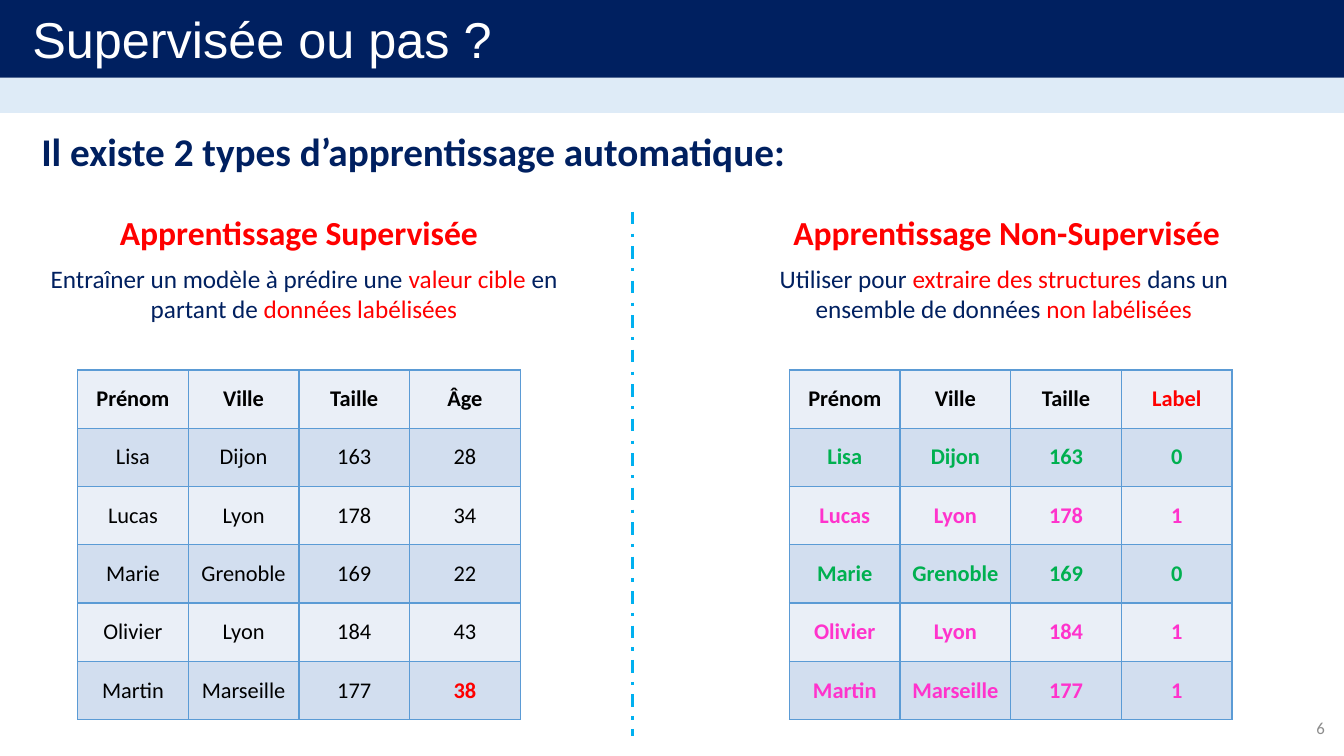
from dataclasses import dataclass

from lxml.etree import SubElement
from pptx import Presentation
from pptx.dml.color import RGBColor
from pptx.enum.dml import MSO_LINE_DASH_STYLE as Dash
from pptx.enum.shapes import MSO_CONNECTOR, MSO_SHAPE
from pptx.enum.text import MSO_ANCHOR as Anchor, MSO_AUTO_SIZE as AutoSize, PP_ALIGN as Align
from pptx.oxml import parse_xml
from pptx.oxml.ns import nsdecls, qn
from pptx.util import Inches, Pt


@dataclass(frozen=True)
class Theme:
    """Colours, fonts and type sizes of the deck."""
    navy: str = "002060"
    pale: str = "DEEBF7"
    white: str = "FFFFFF"
    black: str = "000000"
    grey: str = "8C8C8C"
    red: str = "FF0000"
    green: str = "00B050"
    pink: str = "FF33CC"
    divider: str = "00B0F0"
    border: str = "5B9BD5"
    row_fills: tuple = ("EAEFF7", "D2DEEF")
    title_font: str = "Arial"
    body_font: str = "Calibri"
    title: int = 36
    lead: int = 28
    heading: int = 24
    text: int = 18
    cell: int = 16
    number: int = 12


THEME = Theme()
WIDTH, HEIGHT = 13.33, 7.5
PEOPLE = [("Lisa", "Dijon", "163"), ("Lucas", "Lyon", "178"), ("Marie", "Grenoble", "169"),
          ("Olivier", "Lyon", "184"), ("Martin", "Marseille", "177")]
COLUMNS = ("Prénom", "Ville", "Taille")
AGES = ("28", "34", "22", "43", "38")
LABELS = ("0", "1", "0", "1", "1")


def style(span, size, color, bold=False, font=THEME.body_font):
    """Format one run."""
    span.font.size, span.font.bold, span.font.name = Pt(size), bold, font
    span.font.color.rgb = RGBColor.from_string(color)


def place(shape, left, top, width, height):
    """Move a shape to a box given in inches."""
    shape.left, shape.top = Inches(left), Inches(top)
    shape.width, shape.height = Inches(width), Inches(height)


def fill_text(shape, pieces, size, bold=False, font=THEME.body_font,
              align=Align.LEFT, anchor=Anchor.TOP):
    """Write (text, colour) pieces as one paragraph of a shape."""
    frame = shape.text_frame
    frame.word_wrap, frame.auto_size = True, AutoSize.NONE
    frame.vertical_anchor = anchor
    para = frame.paragraphs[0]
    para.alignment, para.space_before = align, Pt(0)
    for text, color in pieces:
        span = para.add_run()
        span.text = text
        style(span, size, color, bold, font)


def add_text(page, box, pieces, size, **options):
    """Add a text box holding one paragraph."""
    shape = page.shapes.add_textbox(*map(Inches, box))
    fill_text(shape, pieces, size, **options)


def add_band(page, box, color):
    """Add a plain filled band."""
    band = page.shapes.add_shape(MSO_SHAPE.RECTANGLE, *map(Inches, box))
    band.shadow.inherit = False
    band.fill.solid()
    band.fill.fore_color.rgb = RGBColor.from_string(color)
    band.line.fill.background()


def add_header(page, height):
    """Draw the two bands and put the title in front of them."""
    add_band(page, (0, height, WIDTH, 0.35), THEME.pale)
    add_band(page, (0, 0, WIDTH, height), THEME.navy)
    title = page.shapes.title
    place(title, 0.22, 0.03, WIDTH - 0.22, height - 0.06)
    fill_text(title, [("Supervisée ou pas ?", THEME.white)], THEME.title,
              font=THEME.title_font, anchor=Anchor.MIDDLE)
    page.shapes._spTree.append(title._element)


def add_lead(page, box):
    """Put the opening sentence in the body placeholder, without a bullet."""
    body = page.placeholders[1]
    place(body, *box)
    frame = body.text_frame
    frame.margin_left = frame.margin_right = frame.margin_top = frame.margin_bottom = 0
    fill_text(body, [("Il existe 2 types d’apprentissage automatique:", THEME.navy)],
              THEME.lead, bold=True)
    properties = frame.paragraphs[0]._p.get_or_add_pPr()
    properties.set("marL", "0")
    properties.set("indent", "0")
    SubElement(properties, qn("a:buNone"))


def add_divider(page, left, top, bottom):
    """Draw the dash-dot line between the two halves."""
    line = page.shapes.add_connector(MSO_CONNECTOR.STRAIGHT, Inches(left), Inches(top),
                                     Inches(left), Inches(bottom))
    line.line.color.rgb = RGBColor.from_string(THEME.divider)
    line.line.width, line.line.dash_style = Pt(2.25), Dash.DASH_DOT
    SubElement(line._element.spPr, qn("a:effectLst"))


def add_borders(cell):
    """Give a cell a thin line on its four sides."""
    properties = cell._tc.get_or_add_tcPr()
    for position, side in enumerate(("lnL", "lnR", "lnT", "lnB")):
        properties.insert(position, parse_xml(
            f'<a:{side} {nsdecls("a")} w="{Pt(1)}"><a:solidFill>'
            f'<a:srgbClr val="{THEME.border}"/></a:solidFill></a:{side}>'))


def add_people_table(page, box, rows, cell_style):
    """Add a table; cell_style(row, column) gives the colour and weight."""
    table = page.shapes.add_table(len(rows), len(rows[0]), *map(Inches, box)).table
    table.first_row = table.horz_banding = False
    for row, values in enumerate(rows):
        for column, value in enumerate(values):
            cell = table.cell(row, column)
            cell.text = value
            cell.vertical_anchor = Anchor.MIDDLE
            cell.fill.solid()
            cell.fill.fore_color.rgb = RGBColor.from_string(THEME.row_fills[row % 2])
            add_borders(cell)
            para = cell.text_frame.paragraphs[0]
            para.alignment = Align.CENTER
            color, bold = cell_style(row, column)
            style(para.runs[0], THEME.cell, color, bold)


def age_style(row, column):
    """Black cells, with the predicted age in bold red."""
    predicted = (row, column) == (len(PEOPLE), len(COLUMNS))
    return (THEME.red if predicted else THEME.black), row == 0 or predicted


def label_style(row, column):
    """Bold cells, each person in the colour of the group found."""
    if row == 0:
        return (THEME.red if column == len(COLUMNS) else THEME.black), True
    return (THEME.green if LABELS[row - 1] == "0" else THEME.pink), True


def add_half(page, box, heading, heading_left, pieces, table_left, last_column, cell_style):
    """Place a heading, a description and a table inside one half of the slide."""
    left, top, width, height = box
    add_text(page, (left + heading_left, top, width - heading_left, 0.5),
             [(heading, THEME.red)], THEME.heading, bold=True)
    add_text(page, (left, top + 0.51, width, 0.71), pieces, THEME.text, align=Align.CENTER)
    rows = [row + (last,) for row, last in zip([COLUMNS, *PEOPLE], last_column)]
    add_people_table(page, (left + table_left, top + 1.62, 4.39, height - 1.62),
                     rows, cell_style)


def build_comparison(deck):
    """Build the slide that compares the two kinds of learning."""
    page = deck.slides.add_slide(deck.slide_layouts[1])
    add_header(page, 0.77)
    add_lead(page, (0.41, 1.26, 12.2, 0.47))
    add_divider(page, 6.27, 2.1, 7.3)
    add_half(page, (0.22, 2.05, 5.59, 5.09), "Apprentissage Supervisée", 0.87,
             [("Entraîner un modèle à prédire une ", THEME.navy), ("valeur cible ", THEME.red),
              ("en partant de ", THEME.navy), ("données labélisées", THEME.red)],
             0.55, ("Âge", *AGES), age_style)
    add_half(page, (7.16, 2.05, 5.59, 5.09), "Apprentissage Non-Supervisée", 0.61,
             [("Utiliser pour ", THEME.navy), ("extraire des structures ", THEME.red),
              ("dans un ensemble de données ", THEME.navy), ("non labélisées", THEME.red)],
             0.67, ("Label", *LABELS), label_style)
    add_text(page, (10.24, 7.02, 3, 0.4), [("6", THEME.grey)], THEME.number,
             align=Align.RIGHT, anchor=Anchor.MIDDLE)


deck = Presentation()
deck.slide_width, deck.slide_height = Inches(WIDTH), Inches(HEIGHT)
build_comparison(deck)
deck.save("out.pptx")
